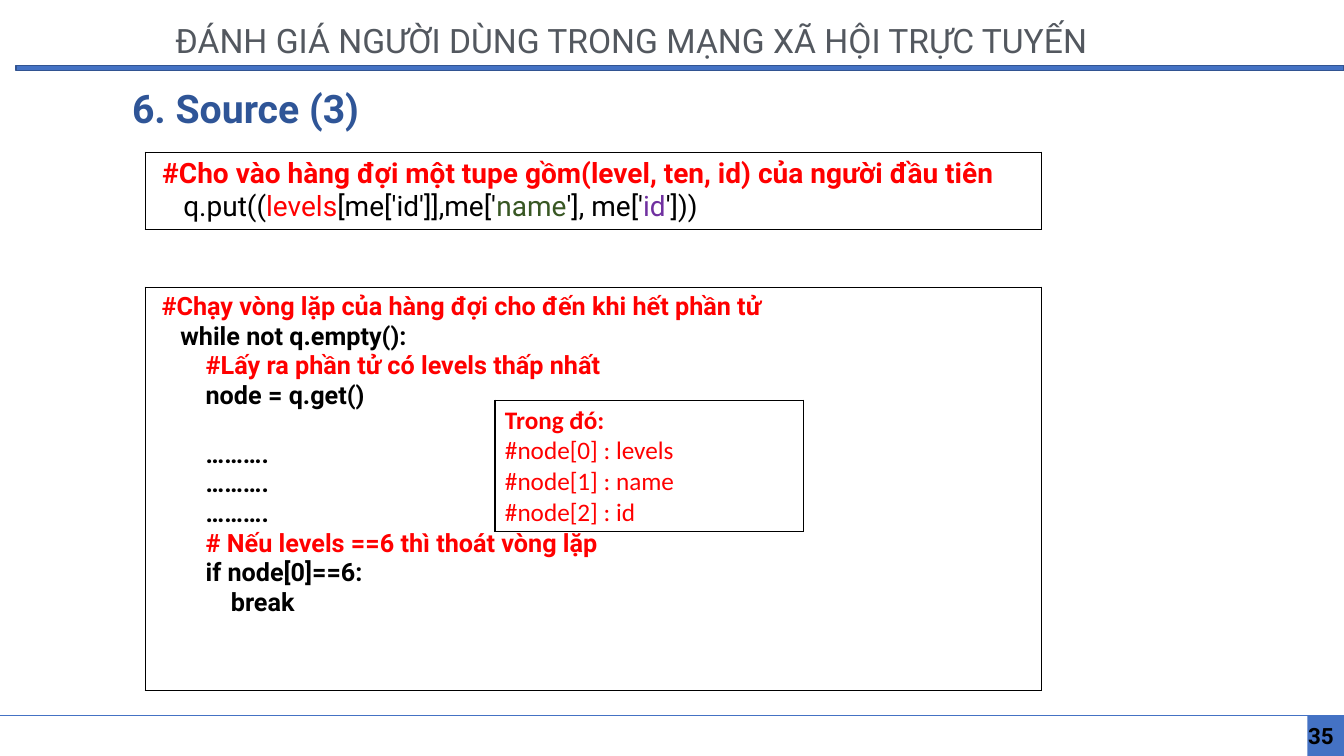
from lxml import etree
from pptx import Presentation
from pptx.dml.color import RGBColor as RGB
from pptx.enum.shapes import MSO_CONNECTOR as LINE, MSO_SHAPE as SHAPE
from pptx.enum.text import MSO_ANCHOR as ANCHOR, PP_ALIGN as ALIGN
from pptx.oxml import parse_xml
from pptx.oxml.ns import nsdecls, qn
from pptx.util import Pt

BLACK = RGB(0, 0, 0)
RED = RGB(0xFF, 0, 0)
GREEN = RGB(0x38, 0x57, 0x23)
PURPLE = RGB(0x70, 0x30, 0xA0)
BLUE = RGB(0x44, 0x72, 0xC4)
EDGE = RGB(0x32, 0x54, 0x91)
NAVY = RGB(0x2F, 0x55, 0x97)
GRAY = RGB(0x53, 0x58, 0x5F)


def write(para, runs, size, face="Roboto"):
    """Add (text, colour, bold) runs to a paragraph."""
    for text, color, bold in runs:
        run = para.add_run()
        run.text = text
        form = {"name": face, "size": Pt(size), "bold": bold}
        for key, value in form.items():
            setattr(run.font, key, value)
        run.font.color.rgb = color


def add_box(place, lines, size, face="Roboto"):
    """Add a one-cell table with a black frame; a line is (indent, space before, runs)."""
    grid = slide.shapes.add_table(1, 1, *map(Pt, place)).table
    grid.first_row = grid.horz_banding = False
    cell = grid.cell(0, 0)
    props = cell._tc.get_or_add_tcPr()
    for side in ("lnL", "lnR", "lnT", "lnB"):
        props.append(parse_xml(
            f'<a:{side} {nsdecls("a")} w="12700"><a:solidFill>'
            f'<a:srgbClr val="{BLACK}"/></a:solidFill></a:{side}>'))
    cell.fill.background()
    frame = cell.text_frame
    for i, (indent, before, runs) in enumerate(lines):
        para = frame.add_paragraph() if i else frame.paragraphs[0]
        para.space_before = Pt(before)
        para._p.get_or_add_pPr().set("marL", str(Pt(indent)))
        write(para, runs, size, face)


deck = Presentation()
deck.slide_width, deck.slide_height = Pt(960), Pt(540)
slide = deck.slides.add_slide(deck.slide_layouts[5])

# Page number corner and header bar
bars = [
    ((933.8, 511.2, 26.2, 28.8), None),
    ((11.5, 46.6, 948.5, 3.6), EDGE),
]
for place, edge in bars:
    bar = slide.shapes.add_shape(SHAPE.RECTANGLE, *map(Pt, place))
    bar.shadow.inherit = False
    bar.fill.solid()
    bar.fill.fore_color.rgb = BLUE
    if edge:
        bar.line.color.rgb = edge
        bar.line.width = Pt(1)
    else:
        bar.line.fill.background()

# Footer line
rule = slide.shapes.add_connector(LINE.STRAIGHT, Pt(960), Pt(511.2), Pt(0), Pt(511.2))
rule.line.color.rgb = BLUE
rule.line.width = Pt(0.5)
etree.SubElement(rule._element.spPr, qn("a:effectLst"))

# Title, header and page number
title = slide.shapes.title
head = slide.shapes.add_textbox(0, 0, 0, 0)
page = slide.shapes.add_textbox(0, 0, 0, 0)
texts = [
    (title, (87.1, 56.9, 252.7, 41), 7.2, ANCHOR.TOP, ALIGN.LEFT,
     ("6. Source (3)", NAVY, True), 28),
    (head, (122.4, 10.1, 726.5, 36.7), 2.9, ANCHOR.MIDDLE, ALIGN.LEFT,
     ("ĐÁNH GIÁ NGƯỜI DÙNG TRONG MẠNG XÃ HỘI TRỰC TUYẾN", GRAY, False), 24),
    (page, (743.8, 511.2, 216, 28.8), 7.2, ANCHOR.MIDDLE, ALIGN.RIGHT,
     ("35", BLACK, True), 16),
]
for shape, place, inset, anchor, align, run, size in texts:
    shape.left, shape.top, shape.width, shape.height = map(Pt, place)
    frame = shape.text_frame
    form = {"word_wrap": True, "vertical_anchor": anchor,
            "margin_left": Pt(inset), "margin_right": Pt(inset),
            "margin_top": Pt(inset / 2), "margin_bottom": Pt(inset / 2)}
    for key, value in form.items():
        setattr(frame, key, value)
    frame.paragraphs[0].alignment = align
    write(frame.paragraphs[0], [run], size)

# Queue start
add_box((103.7, 108.7, 640, 55.4), [
    (5, 0, [("#Cho vào hàng đợi một tupe gồm(level, ten, id) của người đầu tiên", RED, True)]),
    (20, 0, [
        ("q.put((", BLACK, False),
        ("levels", RED, False),
        ("[me['id']],me['", BLACK, False),
        ("name", GREEN, False),
        ("'], me['", BLACK, False),
        ("id", PURPLE, False),
        ("']))", BLACK, False),
    ]),
], 20)

# Queue loop: indent, space before, text, colour
loop = [
    (4.5, 0, "#Chạy vòng lặp của hàng đợi cho đến khi hết phần tử", RED),
    (18, 0, "while not q.empty():", BLACK),
    (36, 0, "#Lấy ra phần tử có levels thấp nhất", RED),
    (36, 0, "node = q.get()", BLACK),
    (36, 21, "……….", BLACK),
    (36, 0, "……….", BLACK),
    (36, 0, "……….", BLACK),
    (36, 0, "# Nếu levels ==6 thì thoát vòng lặp", RED),
    (36, 0, "if node[0]==6:", BLACK),
    (54, 0, "break", BLACK),
]
add_box((103.7, 205.2, 640, 288),
        [(indent, gap, [(text, color, True)]) for indent, gap, text, color in loop], 18)

# Node key
keys = ["Trong đó:", "#node[0] : levels", "#node[1] : name", "#node[2] : id"]
add_box((353.5, 285.8, 220.3, 93.6),
        [(0, 0, [(text, RED, i == 0)]) for i, text in enumerate(keys)], 18, "Calibri")

deck.save("out.pptx")
